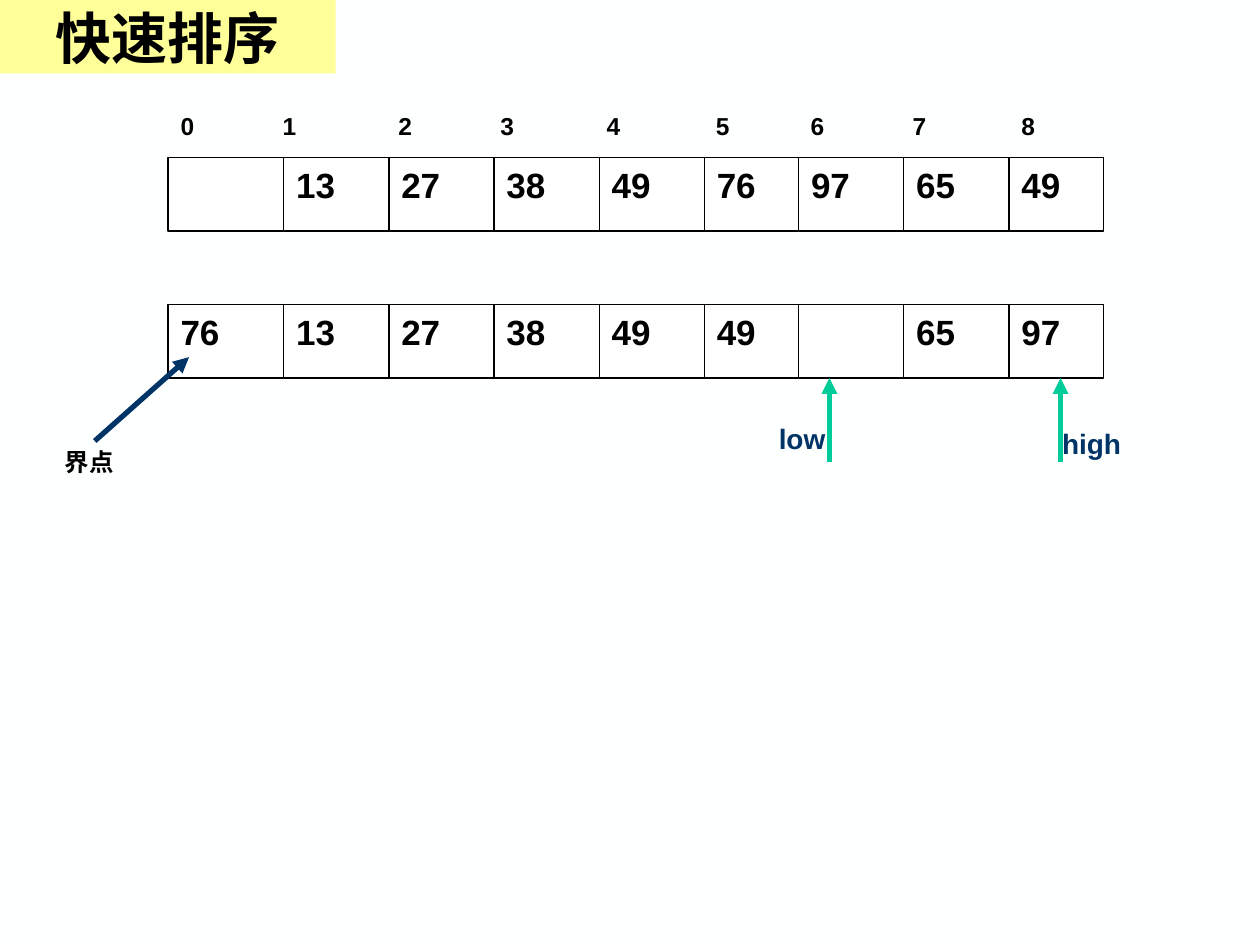
from itertools import accumulate

from lxml import etree
from pptx import Presentation
from pptx.dml.color import RGBColor
from pptx.enum.shapes import MSO_CONNECTOR, MSO_SHAPE
from pptx.enum.text import MSO_ANCHOR, PP_ALIGN
from pptx.oxml.ns import qn
from pptx.util import Cm, Pt

STRAIGHT = MSO_CONNECTOR.STRAIGHT
RECTANGLE = MSO_SHAPE.RECTANGLE
MIDDLE = MSO_ANCHOR.MIDDLE
CENTER = PP_ALIGN.CENTER

BACKGROUND = RGBColor(0xFE, 0xFF, 0xFF)
WHITE = RGBColor(0xFF, 0xFF, 0xFF)
BLACK = RGBColor(0x00, 0x00, 0x00)
YELLOW = RGBColor(0xFF, 0xFF, 0x99)
NAVY = RGBColor(0x00, 0x33, 0x66)
GREEN = RGBColor(0x00, 0xCC, 0x99)

TITLE_FORMAT = {"name": "Times New Roman", "size": Pt(32), "bold": True}
VALUE_FORMAT = {"name": "Arial", "size": Pt(20), "bold": True}
POINTER_FORMAT = {"name": "Arial", "size": Pt(16), "bold": True}
LABEL_FORMAT = {"name": "Arial", "size": Pt(14), "bold": True}

CELL_WIDTHS = [2.33, 2.12, 2.12, 2.12, 2.12, 1.9, 2.12, 2.12, 1.9]
CELL_LEFTS = [0, *accumulate(CELL_WIDTHS[:-1])]
ARRAY_LEFT = 3.39
ARRAY_WIDTH = sum(CELL_WIDTHS)
ARRAY_HEIGHT = 1.48
INDEX_TABS = [2.06, 4.39, 6.45, 8.59, 10.79, 12.7, 14.76, 16.95]

FIRST_VALUES = ["", "13", "27", "38", "49", "76", "97", "65", "49"]
SECOND_VALUES = ["76", "13", "27", "38", "49", "49", "", "65", "97"]


def write(paragraph, text, text_format, color=BLACK):
    run = paragraph.add_run()
    run.text = text
    for name, value in text_format.items():
        setattr(run.font, name, value)
    run.font.color.rgb = color


def add_label(slide, text, left, top, width, height, text_format, color=BLACK):
    shape = slide.shapes.add_textbox(Cm(left), Cm(top), Cm(width), Cm(height))
    shape.text_frame.word_wrap = True
    paragraph = shape.text_frame.paragraphs[0]
    write(paragraph, text, text_format, color)
    return paragraph


def add_box(slide, left, top, width, height, color):
    shape = slide.shapes.add_shape(RECTANGLE, Cm(left), Cm(top), Cm(width), Cm(height))
    shape.shadow.inherit = False
    shape.fill.solid()
    shape.fill.fore_color.rgb = color
    return shape


def add_line(slide, start, end, color, width, arrow=False):
    connector = slide.shapes.add_connector(
        STRAIGHT, *(Cm(length) for length in (*start, *end)))
    connector.line.color.rgb = color
    connector.line.width = Pt(width)
    properties = connector.element.spPr
    if arrow:
        etree.SubElement(properties.find(qn("a:ln")), qn("a:tailEnd"), type="triangle")
    etree.SubElement(properties, qn("a:effectLst"))


def add_title(slide, left, top, width, height):
    shape = add_box(slide, left, top, width, height, YELLOW)
    shape.line.fill.background()
    shape.text_frame.vertical_anchor = MIDDLE
    paragraph = shape.text_frame.paragraphs[0]
    paragraph.alignment = CENTER
    write(paragraph, "快速排序", TITLE_FORMAT)


def add_indexes(slide, left, top, width, height):
    text = "\t".join(str(index) for index in range(len(CELL_WIDTHS)))
    paragraph = add_label(slide, text, left, top, width, height, LABEL_FORMAT)
    properties = paragraph._p.get_or_add_pPr()
    tab_list = etree.SubElement(properties, qn("a:tabLst"))
    for position in INDEX_TABS:
        etree.SubElement(tab_list, qn("a:tab"), pos=str(Cm(position)), algn="l")


def add_array(slide, values, left, top, width, height):
    shape = add_box(slide, left, top, width, height, WHITE)
    shape.line.color.rgb = BLACK
    shape.line.width = Pt(0.75)
    for offset, value in zip(CELL_LEFTS, values):
        x = left + offset
        if offset:
            add_line(slide, (x, top), (x, top + height), BLACK, 0.75)
        if value:
            add_label(slide, value, x, top, 1.69, 1.11, VALUE_FORMAT)


def add_pointer(slide, text, left, top, height, label_left, label_top):
    add_line(slide, (left, top + height), (left, top), GREEN, 3, arrow=True)
    add_label(slide, text, left + label_left, top + label_top, 2.33, 0.94,
              POINTER_FORMAT, NAVY)


def add_pivot(slide, left, top, width, height):
    add_line(slide, (left + 0.85, top + height), (left + width, top), NAVY, 3, arrow=True)
    add_label(slide, "界点", left, top + height, 2.12, 0.86, LABEL_FORMAT)


def main():
    presentation = Presentation()
    presentation.slide_width = Cm(25.4)
    presentation.slide_height = Cm(19.05)
    slide = presentation.slides.add_slide(presentation.slide_layouts[6])
    slide.background.fill.solid()
    slide.background.fill.fore_color.rgb = BACKGROUND

    add_title(slide, 0, 0, 6.77, 1.48)
    add_indexes(slide, ARRAY_LEFT, 2.12, ARRAY_WIDTH, 0.86)
    for values, top in ((FIRST_VALUES, 3.18), (SECOND_VALUES, 6.14)):
        add_array(slide, values, ARRAY_LEFT, top, ARRAY_WIDTH, ARRAY_HEIGHT)
    add_pointer(slide, "low", 16.72, 7.62, 1.69, -1.27, 0.76)
    add_pointer(slide, "high", 21.38, 7.62, 1.69, -0.22, 0.85)
    add_pivot(slide, 1.06, 7.2, 2.75, 1.69)

    presentation.save("out.pptx")


if __name__ == "__main__":
    main()
